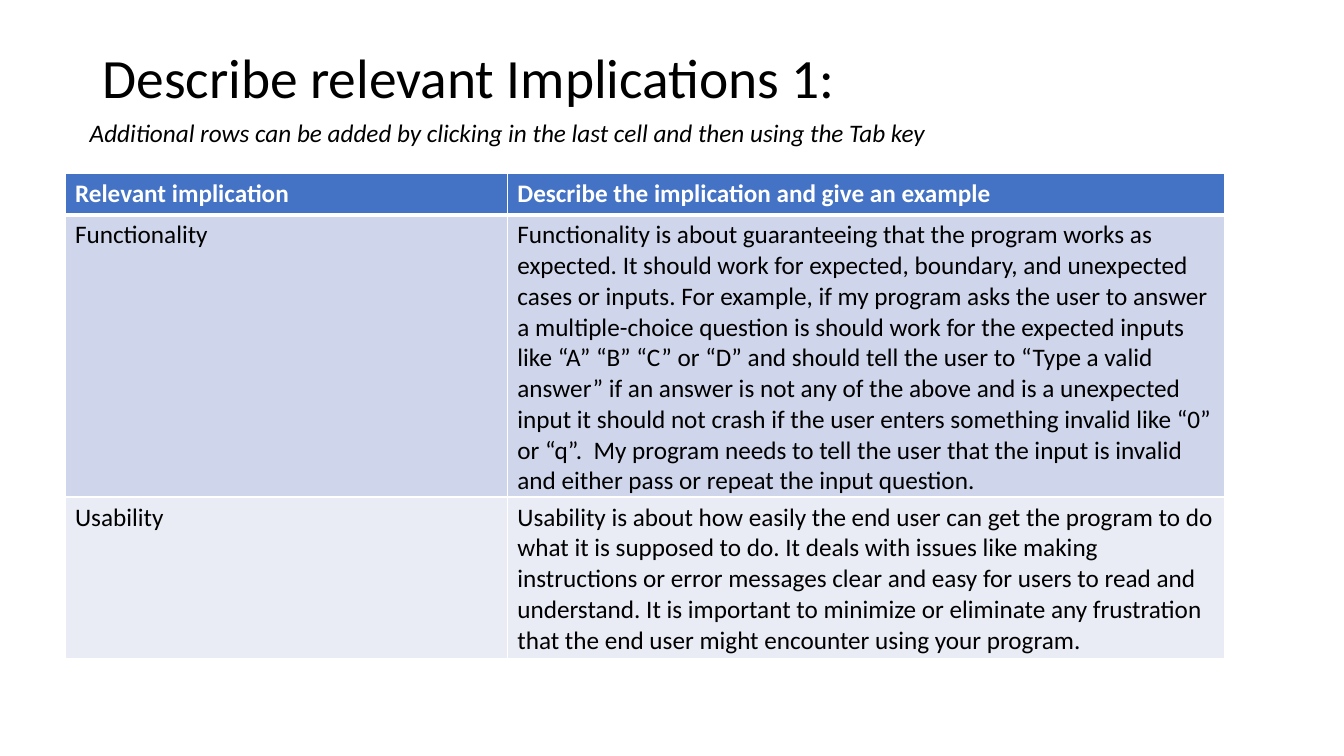
from lxml import etree
from pptx import Presentation
from pptx.dml.color import RGBColor
from pptx.enum.text import MSO_ANCHOR, MSO_AUTO_SIZE, PP_ALIGN
from pptx.oxml.ns import qn
from pptx.util import Pt

LEFT = PP_ALIGN.LEFT
MIDDLE = MSO_ANCHOR.MIDDLE
NO_FIT = MSO_AUTO_SIZE.NONE
GROW = MSO_AUTO_SIZE.SHAPE_TO_FIT_TEXT

BLACK = RGBColor(0x00, 0x00, 0x00)
WHITE = RGBColor(0xFF, 0xFF, 0xFF)
BLUE = RGBColor(0x44, 0x72, 0xC4)
BANDS = (RGBColor(0xCF, 0xD5, 0xEA), RGBColor(0xE9, 0xEB, 0xF5))

FONT = "Calibri"
ROWS = [
    ("Relevant implication", "Describe the implication and give an example"),
    ("Functionality",
     "Functionality is about guaranteeing that the program works as expected. "
     "It should work for expected, boundary, and unexpected cases or inputs. "
     "For example, if my program asks the user to answer a multiple-choice "
     "question is should work for the expected inputs like “A” “B” “C” or “D” "
     "and should tell the user to “Type a valid answer” if an answer is not any "
     "of the above and is a unexpected input it should not crash if the user "
     "enters something invalid like “0” or “q”.  My program needs to tell the "
     "user that the input is invalid and either pass or repeat the input "
     "question."),
    ("Usability",
     "Usability is about how easily the end user can get the program to do what "
     "it is supposed to do. It deals with issues like making instructions or "
     "error messages clear and easy for users to read and understand. It is "
     "important to minimize or eliminate any frustration that the end user "
     "might encounter using your program."),
]


def write(frame, text, size=18, color=BLACK, bold=False, italic=False,
          spacing=None):
    para = frame.paragraphs[0]
    para.alignment = LEFT
    if spacing:
        para.line_spacing = spacing
    run = para.add_run()
    run.text = text
    font = run.font
    font.name, font.size = FONT, Pt(size)
    font.bold, font.italic = bold, italic
    font.color.rgb = color


def edge(cell, side, width):
    line = etree.Element(qn("a:" + side), w=str(Pt(width)))
    fill = etree.SubElement(line, qn("a:solidFill"))
    etree.SubElement(fill, qn("a:srgbClr"), val=str(WHITE))
    return line


def draw_title(slide, x, y, w, h):
    title = slide.shapes.title
    title.left, title.top, title.width, title.height = map(Pt, (x, y, w, h))
    frame = title.text_frame
    frame.auto_size = NO_FIT
    frame.word_wrap = True
    frame.vertical_anchor = MIDDLE
    write(frame, "Describe relevant Implications 1:", size=39.6, spacing=1.15)


def draw_hint(slide, x, y, w, h):
    frame = slide.shapes.add_textbox(*map(Pt, (x, y, w, h))).text_frame
    frame.word_wrap = True
    frame.auto_size = GROW
    write(frame, "Additional rows can be added by clicking in the last cell "
                 "and then using the Tab key", italic=True)


def draw_table(slide, x, y, w, h):
    box = map(Pt, (x, y, w, h))
    table = slide.shapes.add_table(len(ROWS), 2, *box).table
    first = 316
    for col, width in zip(table.columns, (first, w - first)):
        col.width = Pt(width)
    for r, texts in enumerate(ROWS):
        # Rows grow from this height to hold their text
        table.rows[r].height = Pt(h / len(ROWS))
        head = r == 0
        for c, text in enumerate(texts):
            cell = table.cell(r, c)
            write(cell.text_frame, text, bold=head,
                  color=WHITE if head else BLACK)
            cell.fill.solid()
            cell.fill.fore_color.rgb = BLUE if head else BANDS[(r - 1) % 2]
            # White grid, heavier under the header
            widths = {"lnL": 1, "lnR": 1, "lnT": 3 if r == 1 else 1,
                      "lnB": 3 if head else 1}
            props = cell._tc.get_or_add_tcPr()
            for i, (side, width) in enumerate(widths.items()):
                props.insert(i, edge(cell, side, width))


def main():
    deck = Presentation()
    deck.slide_width, deck.slide_height = Pt(960), Pt(540)
    slide = deck.slides.add_slide(deck.slide_layouts[5])
    # Heading and hint
    draw_title(slide, 66, 28.8, 828, 44)
    draw_hint(slide, 57, 80.6, 788, 29)
    # Implications
    draw_table(slide, 46.4, 124.2, 828, 87.6)
    deck.save("out.pptx")


if __name__ == "__main__":
    main()
